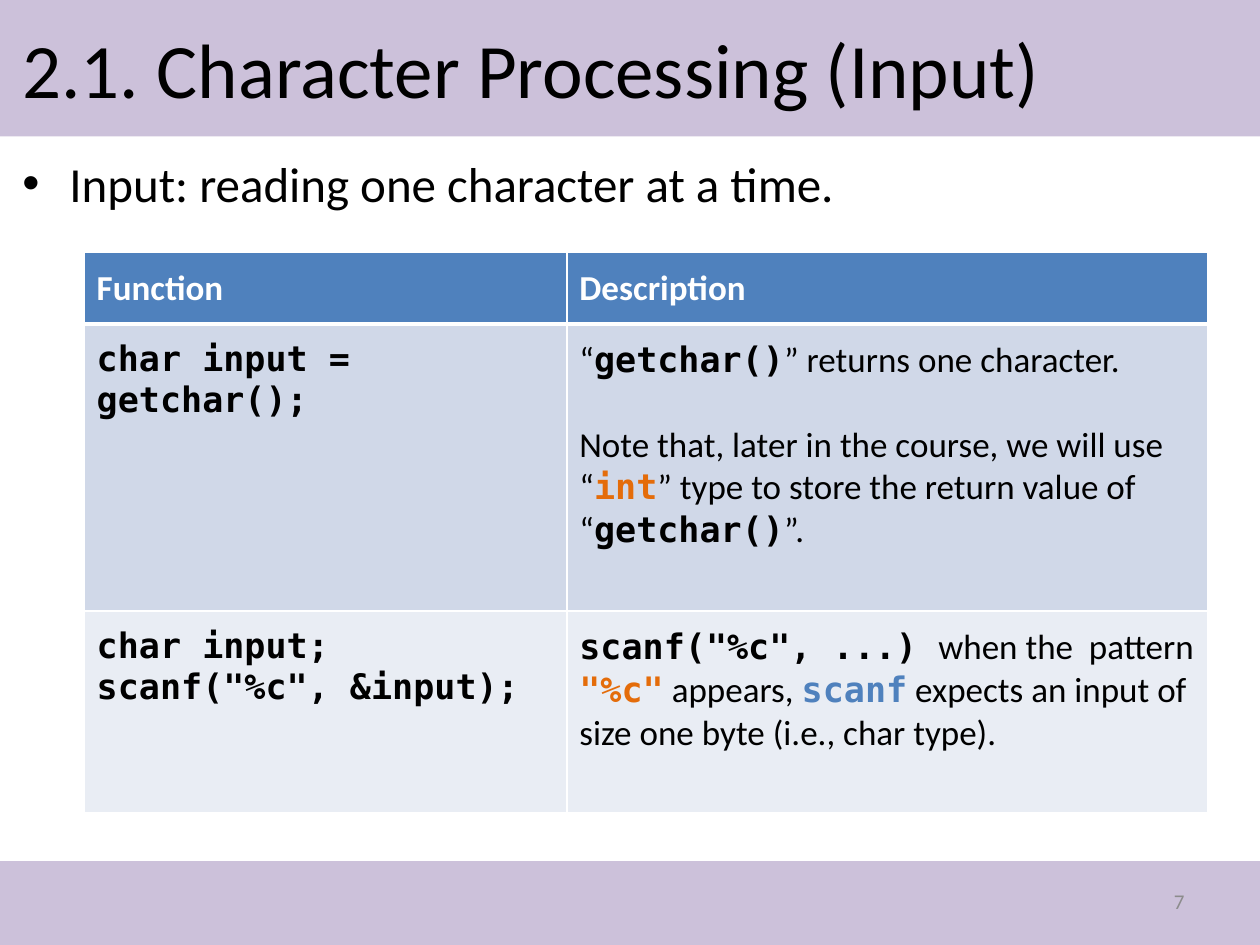
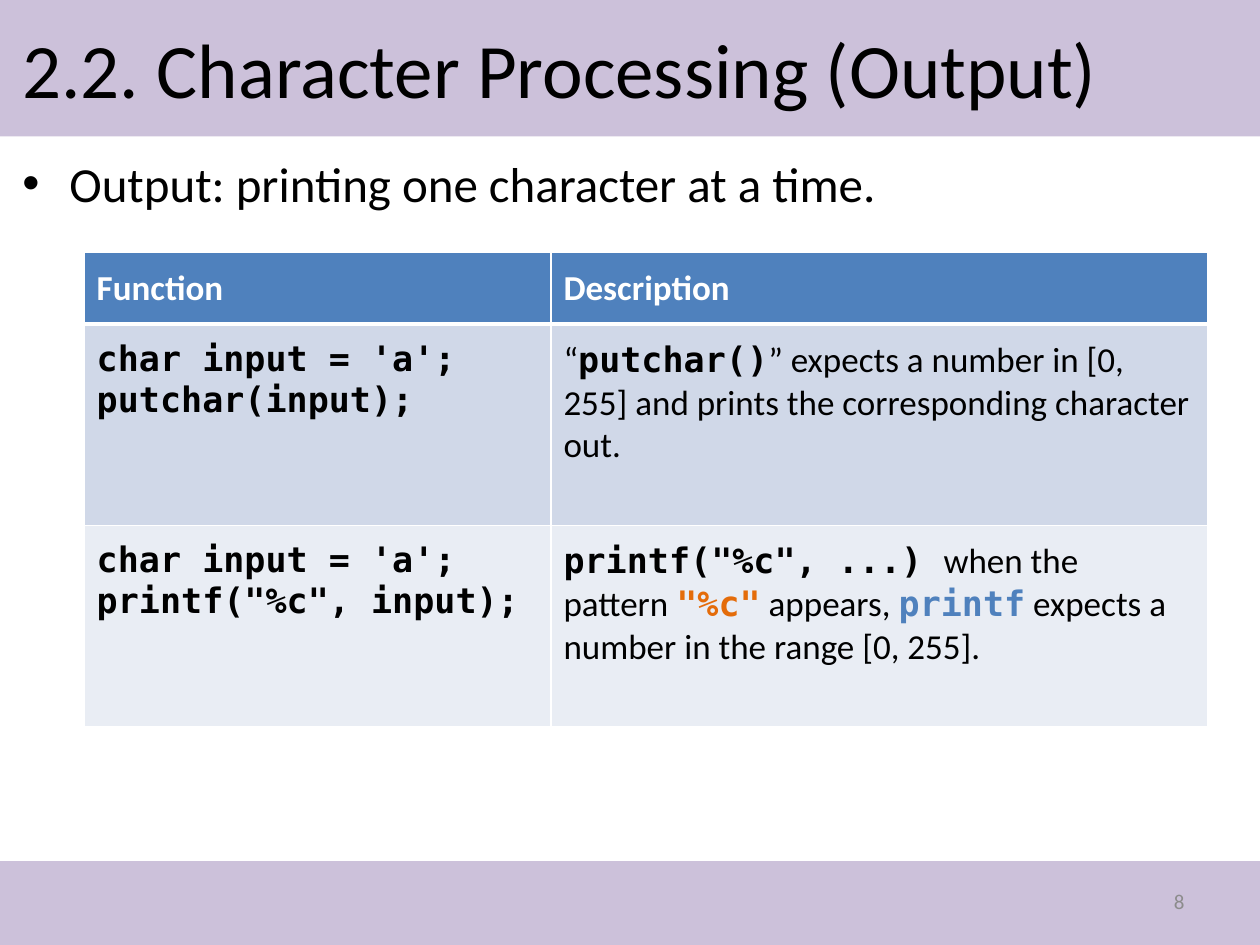
"""Build two slides on reading and printing single characters in C."""
from lxml.etree import SubElement
from pptx import Presentation
from pptx.dml.color import RGBColor
from pptx.enum.shapes import MSO_SHAPE
from pptx.enum.text import MSO_ANCHOR, MSO_AUTO_SIZE, PP_ALIGN
from pptx.oxml.ns import qn
from pptx.util import Cm, Pt


class Theme:
    sans, mono = "Calibri", "DejaVu Sans Mono"
    title, body, cell, page = 44, 28, 20, 12
    band, head, odd, even = "CCC1DA", "4F81BD", "D0D8E8", "E9EDF4"
    black, white, grey = "000000", "FFFFFF", "8C8C8C"
    orange, blue = "E46C0A", "4F81BD"


CODE = dict(font=Theme.mono, bold=True)
HOT = dict(CODE, color=Theme.orange)
CALL = dict(CODE, color=Theme.blue)


def write(frame, *lines, size, font=Theme.sans, color=Theme.black, bold=False,
          align=PP_ALIGN.LEFT, gap=0, bullet=False):
    """Fill a frame; a line is a string or a list of strings and (string, format) pairs."""
    for i, line in enumerate(lines):
        para = frame.paragraphs[0] if i == 0 else frame.add_paragraph()
        para.alignment = align
        para.space_before = Pt(gap if i else 0)
        if bullet:
            props = para._p.get_or_add_pPr()
            props.set("marL", str(Cm(0.95)))
            props.set("indent", str(Cm(-0.95)))
            SubElement(props, qn("a:buFont"), typeface="Arial")
            SubElement(props, qn("a:buChar"), char="•")
        for part in [line] if isinstance(line, str) else line:
            text, own = (part, {}) if isinstance(part, str) else part
            look = dict(font=font, color=color, bold=bold) | own
            run = para.add_run()
            run.text = text
            run.font.name, run.font.size = look["font"], Pt(size)
            run.font.bold = look["bold"]
            run.font.color.rgb = RGBColor.from_string(look["color"])


def edge(cell, bottom):
    """Draw white borders round a cell, with the given width below."""
    props = cell._tc.get_or_add_tcPr()
    for side, width in zip("LRTB", (1, 1, 1, bottom)):
        line = SubElement(props, qn(f"a:ln{side}"), w=str(Pt(width)))
        fill = SubElement(line, qn("a:solidFill"))
        SubElement(fill, qn("a:srgbClr"), val=Theme.white)


pages = [
    dict(
        num="7", title="2.1. Character Processing (Input)",
        point="Input: reading one character at a time.",
        cols=(9.73, 12.92), rows=(1.45, 5.79, 4.06),
        cells=[
            (["char input = getchar();"],
             [["“", ("getchar()", CODE), "” returns one character."],
              ["Note that, later in the course, we will use “", ("int", HOT),
               "” type to store the return value of “", ("getchar()", CODE), "”."]]),
            (["char input;", 'scanf("%c", &input);'],
             [[('scanf("%c", ...) ', CODE), "when the  pattern ", ('"%c"', HOT),
               " appears, ", ("scanf", CALL),
               " expects an input of size one byte (i.e., char type)."]]),
        ],
    ),
    dict(
        num="8", title="2.2. Character Processing (Output)",
        point="Output: printing one character at a time.",
        cols=(9.41, 13.24), rows=(1.45, 4.06, 4.06),
        cells=[
            (["char input = 'a';", "putchar(input);"],
             [["“", ("putchar()", CODE), "” expects a number in [0, 255] and prints "
               "the corresponding character out."]]),
            (["char input = 'a';", 'printf("%c", input);'],
             [[('printf("%c", ...) ', CODE), "when the  pattern ", ('"%c"', HOT),
               " appears, ", ("printf", CALL),
               " expects a number in the range [0, 255]."]]),
        ],
    ),
]

deck = Presentation()
deck.slide_width, deck.slide_height = Cm(25.4), Cm(19.05)

for page in pages:
    slide = deck.slides.add_slide(deck.slide_layouts[5])
    shapes = slide.shapes
    title = shapes.title

    for top, height in ((0, 2.75), (17.36, 1.69)):
        band = shapes.add_shape(MSO_SHAPE.RECTANGLE, 0, Cm(top), deck.slide_width, Cm(height))
        band.shadow.inherit = False
        band.fill.solid()
        band.fill.fore_color.rgb = RGBColor.from_string(Theme.band)
        band.line.fill.background()
        title.element.addprevious(band.element)

    title.left, title.top, title.width, title.height = Cm(0.2), Cm(0.2), Cm(25), Cm(2.34)
    title.text_frame.auto_size = MSO_AUTO_SIZE.NONE
    title.text_frame.vertical_anchor = MSO_ANCHOR.MIDDLE
    write(title.text_frame, page["title"], size=Theme.title)

    point = shapes.add_textbox(Cm(0.2), Cm(2.97), Cm(24.8), Cm(1.8)).text_frame
    point.word_wrap = True
    write(point, page["point"], size=Theme.body, bullet=True)

    num = shapes.add_textbox(Cm(18.2), Cm(17.66), Cm(5.93), Cm(1.01)).text_frame
    num.word_wrap = True
    num.vertical_anchor = MSO_ANCHOR.MIDDLE
    write(num, page["num"], size=Theme.page, color=Theme.grey, align=PP_ALIGN.RIGHT)

    grid = shapes.add_table(3, 2, Cm(1.7), Cm(5.08), Cm(sum(page["cols"])),
                            Cm(sum(page["rows"]))).table
    for col, width in zip(grid.columns, page["cols"]):
        col.width = Cm(width)
    for row, height in zip(grid.rows, page["rows"]):
        row.height = Cm(height)

    head = dict(color=Theme.white, bold=True)
    table = [(["Function"], ["Description"])] + page["cells"]
    looks = [(head, head)] + [(CODE, {})] * 2
    fills = (Theme.head, Theme.odd, Theme.even)
    for r, (texts, styles, fill) in enumerate(zip(table, looks, fills)):
        for c, (lines, look) in enumerate(zip(texts, styles)):
            cell = grid.cell(r, c)
            cell.margin_left = cell.margin_right = Cm(0.25)
            cell.margin_top = cell.margin_bottom = Cm(0.3)
            edge(cell, 1 if r else 3)
            cell.fill.solid()
            cell.fill.fore_color.rgb = RGBColor.from_string(fill)
            write(cell.text_frame, *lines, size=Theme.cell, gap=24 * c, **look)

deck.save("out.pptx")
